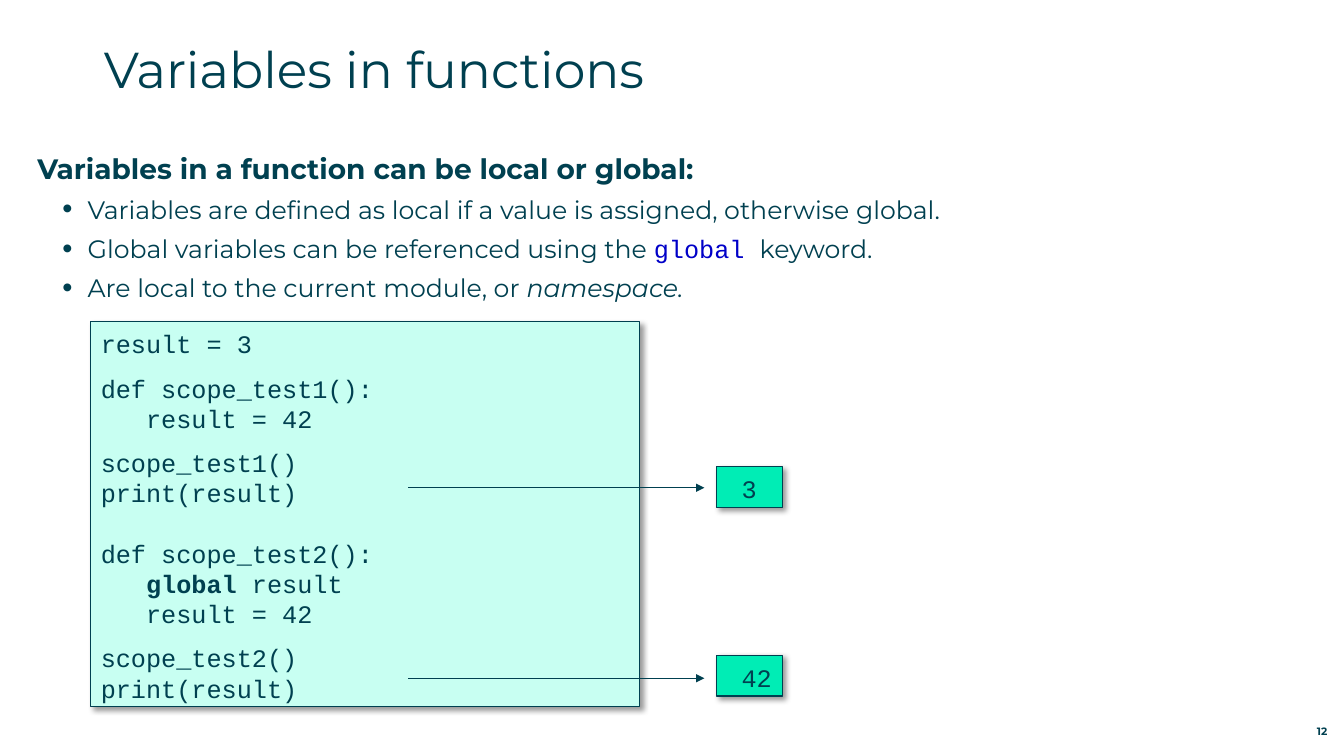
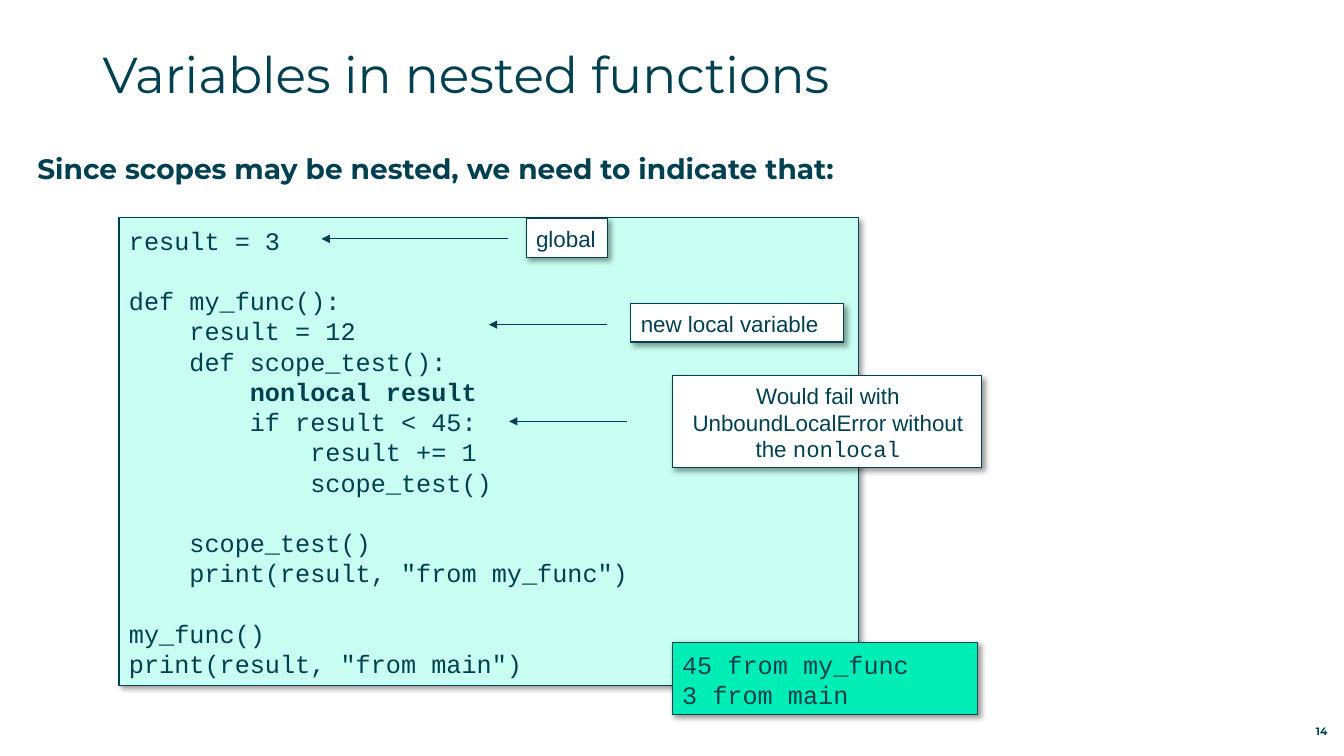
from dataclasses import dataclass, replace

from lxml import etree
from pptx import Presentation
from pptx.dml.color import RGBColor
from pptx.enum.shapes import MSO_CONNECTOR, MSO_SHAPE
from pptx.enum.text import MSO_ANCHOR, PP_ALIGN
from pptx.oxml.ns import qn
from pptx.util import Cm, Pt

# Colours
INK = RGBColor(0x00, 0x40, 0x50)
KEYWORD = RGBColor(0x00, 0x00, 0xC8)
MINT = RGBColor(0xC8, 0xFF, 0xF2)
GREEN = RGBColor(0x00, 0xED, 0xB5)
WHITE = RGBColor(0xFF, 0xFF, 0xFF)

# Enum members
RECTANGLE = MSO_SHAPE.RECTANGLE
STRAIGHT = MSO_CONNECTOR.STRAIGHT
LEFT, CENTER, RIGHT = PP_ALIGN.LEFT, PP_ALIGN.CENTER, PP_ALIGN.RIGHT
TOP, BOTTOM = MSO_ANCHOR.TOP, MSO_ANCHOR.BOTTOM

# Shared measures
LINE_WIDTH = Pt(0.75)
CODE_COLUMN = 0.381  # width of one code character in cm
CODE_PITCH, LABEL_PITCH = 21.6, 18.9  # points from line to line
SMALL_GAP, FULL_GAP = 10, CODE_PITCH
PANEL_INSETS = (0.25, 0.18, 0.2, 0.1)
RESULT_INSETS = (0.64, 0.18, 0, 0.1)


@dataclass(frozen=True)
class Style:
    font: str
    size: float
    color: RGBColor = INK
    bold: bool = False
    italic: bool = False


TITLE = Style("Montserrat", 36)
HEADING = Style("Montserrat", 20, bold=True)
BODY = Style("Montserrat", 18)
PAGE_NUMBER = Style("Montserrat", 7.6, bold=True)
CODE = Style("Courier New", 18)
CODE_BOLD = replace(CODE, bold=True)
LABEL = Style("Arial", 16)


@dataclass
class Line:
    spans: list
    indent: float = 0  # cm
    before: float = 0  # points
    after: float = 0
    pitch: float = 0
    align: PP_ALIGN = LEFT
    bullet: bool = False


# Kinds of line
def code(text, columns=0, gap=0, style=CODE):
    return code_spans([(text, style)], columns, gap)


def code_spans(spans, columns=0, gap=0):
    return Line(spans, columns * CODE_COLUMN, gap, pitch=CODE_PITCH)


def label(*spans, align=LEFT):
    return Line(list(spans), pitch=LABEL_PITCH, align=align)


def bullet(*spans):
    return Line(list(spans), indent=1.27, after=6.5, bullet=True)


# Text
def add_bullet(para):
    props = para._p.get_or_add_pPr()
    props.set("indent", str(-Cm(0.635)))
    etree.SubElement(props, qn("a:buSzPct"), val="115000")
    etree.SubElement(props, qn("a:buFont"), typeface="Arial")
    etree.SubElement(props, qn("a:buChar"), char="•")


def write(box, lines, insets=(0, 0, 0, 0), anchor=TOP):
    frame = box.text_frame
    frame.word_wrap = True
    frame.vertical_anchor = anchor
    (frame.margin_left, frame.margin_top,
     frame.margin_right, frame.margin_bottom) = map(Cm, insets)
    for index, line in enumerate(lines):
        para = frame.add_paragraph() if index else frame.paragraphs[0]
        para.alignment = line.align
        para.space_before = Pt(line.before)
        para.space_after = Pt(line.after)
        if line.pitch:
            para.line_spacing = Pt(line.pitch)
        if line.indent:
            para._p.get_or_add_pPr().set("marL", str(Cm(line.indent)))
        if line.bullet:
            add_bullet(para)
        for text, style in line.spans:
            span = para.add_run()
            span.text = text
            span.font.name = style.font
            span.font.size = Pt(style.size)
            span.font.color.rgb = style.color
            span.font.bold = style.bold
            span.font.italic = style.italic


def add_text(slide, place, lines, anchor=TOP):
    write(slide.shapes.add_textbox(*map(Cm, place)), lines, anchor=anchor)


# Panels and arrows
def add_soft_shadow(shape):
    shape.shadow.inherit = False
    effects = shape._element.spPr.find(qn("a:effectLst"))
    shadow = etree.SubElement(
        effects, qn("a:outerShdw"), blurRad=str(Pt(4)), dist=str(Pt(3)),
        dir="2700000", algn="tl", rotWithShape="0")
    color = etree.SubElement(shadow, qn("a:srgbClr"), val="000000")
    etree.SubElement(color, qn("a:alpha"), val="40000")


def add_panel(slide, place, fill, lines, insets=PANEL_INSETS):
    panel = slide.shapes.add_shape(RECTANGLE, *map(Cm, place))
    panel.fill.solid()
    panel.fill.fore_color.rgb = fill
    panel.line.color.rgb = INK
    panel.line.width = LINE_WIDTH
    add_soft_shadow(panel)
    write(panel, lines, insets)


def add_arrow(slide, start, end, y):
    arrow = slide.shapes.add_connector(
        STRAIGHT, Cm(start), Cm(y), Cm(end), Cm(y))
    arrow.line.color.rgb = INK
    arrow.line.width = LINE_WIDTH
    etree.SubElement(arrow.line._get_or_add_ln(), qn("a:tailEnd"),
                     type="triangle")
    etree.SubElement(arrow._element.spPr, qn("a:effectLst"))


# Parts that every slide has
def add_slide(deck, title, title_at, heading, number, bullets=()):
    slide = deck.slides.add_slide(deck.slide_layouts[6])
    add_text(slide, (*title_at, 30, 2.24), [Line([(title, TITLE)])])
    add_text(slide, (0.94, 3.81, 31.98, 13.77),
             [Line([(heading, HEADING)], after=6.5), *bullets])
    add_text(slide, (31.27, 18.08, 2.18, 0.51),
             [Line([(number, PAGE_NUMBER)], align=RIGHT)], BOTTOM)
    return slide


def build_functions(deck):
    slide = add_slide(
        deck, "Variables in functions", (2.62, 0.95),
        "Variables in a function can be local or global:", "12",
        [bullet(("Variables are defined as local if a value is assigned, "
                 "otherwise global.", BODY)),
         bullet(("Global variables can be referenced using the ", BODY),
                ("global ", replace(CODE, color=KEYWORD)),
                ("keyword.", BODY)),
         bullet(("Are local to the current module, or ", BODY),
                ("namespace.", replace(BODY, italic=True)))])
    add_panel(slide, (2.29, 8.1, 13.82, 9.7), MINT, [
        code("result = 3"),
        code("def scope_test1():", gap=SMALL_GAP),
        code("result = 42", 3),
        code("scope_test1()", gap=SMALL_GAP),
        code("print(result)"),
        code("def scope_test2():", gap=FULL_GAP),
        code_spans([("global", CODE_BOLD), (" result", CODE)], 3),
        code("result = 42", 3),
        code("scope_test2()", gap=SMALL_GAP),
        code("print(result)"),
    ])
    # Printed results
    for value, top, arrow_y in (("3", 11.76, 12.29), ("42", 16.51, 17.09)):
        add_panel(slide, (18.05, top, 1.67, 1.03), GREEN, [code(value)],
                  RESULT_INSETS)
        add_arrow(slide, 10.29, 17.75, arrow_y)


def build_nested_functions(deck):
    slide = add_slide(
        deck, "Variables in nested functions", (2.59, 1.08),
        "Since scopes may be nested, we need to indicate that:", "14")
    add_panel(slide, (3, 5.49, 18.64, 11.79), MINT, [
        code("result = 3"),
        code("def my_func():", gap=FULL_GAP),
        code("result = 12", 4),
        code("def scope_test():", 4),
        code("nonlocal result", 8, style=CODE_BOLD),
        code("if result < 45:", 8),
        code("result += 1", 12),
        code("scope_test()", 12),
        code("scope_test()", 4, FULL_GAP),
        code('print(result, "from my_func")', 4),
        code("my_func()", gap=FULL_GAP),
        code('print(result, "from main")'),
    ])
    # Notes on the code, each with its arrow
    failure = label(
        ("Would fail with UnboundLocalError without the ", LABEL),
        ("nonlocal", replace(CODE, size=16)), align=CENTER)
    notes = (
        ((13.26, 5.51, 2.06, 0.97), label(("global", LABEL)),
         (12.8, 8.1, 6.02)),
        ((16.94, 9.47, 7.8, 2.31), failure, (15.8, 12.83, 10.62)),
        ((15.9, 7.65, 5.36, 0.97), label(("new local variable", LABEL)),
         (15.29, 12.32, 8.18)),
    )
    for place, line, arrow in notes:
        add_panel(slide, place, WHITE, [line])
        add_arrow(slide, *arrow)
    # Printed results
    add_panel(slide, (16.94, 16.18, 7.7, 1.82), GREEN,
              [code("45 from my_func"), code("3 from main")])


def main():
    deck = Presentation()
    deck.slide_width, deck.slide_height = Cm(33.87), Cm(19.05)
    build_functions(deck)
    build_nested_functions(deck)
    deck.save("out.pptx")


if __name__ == "__main__":
    main()
